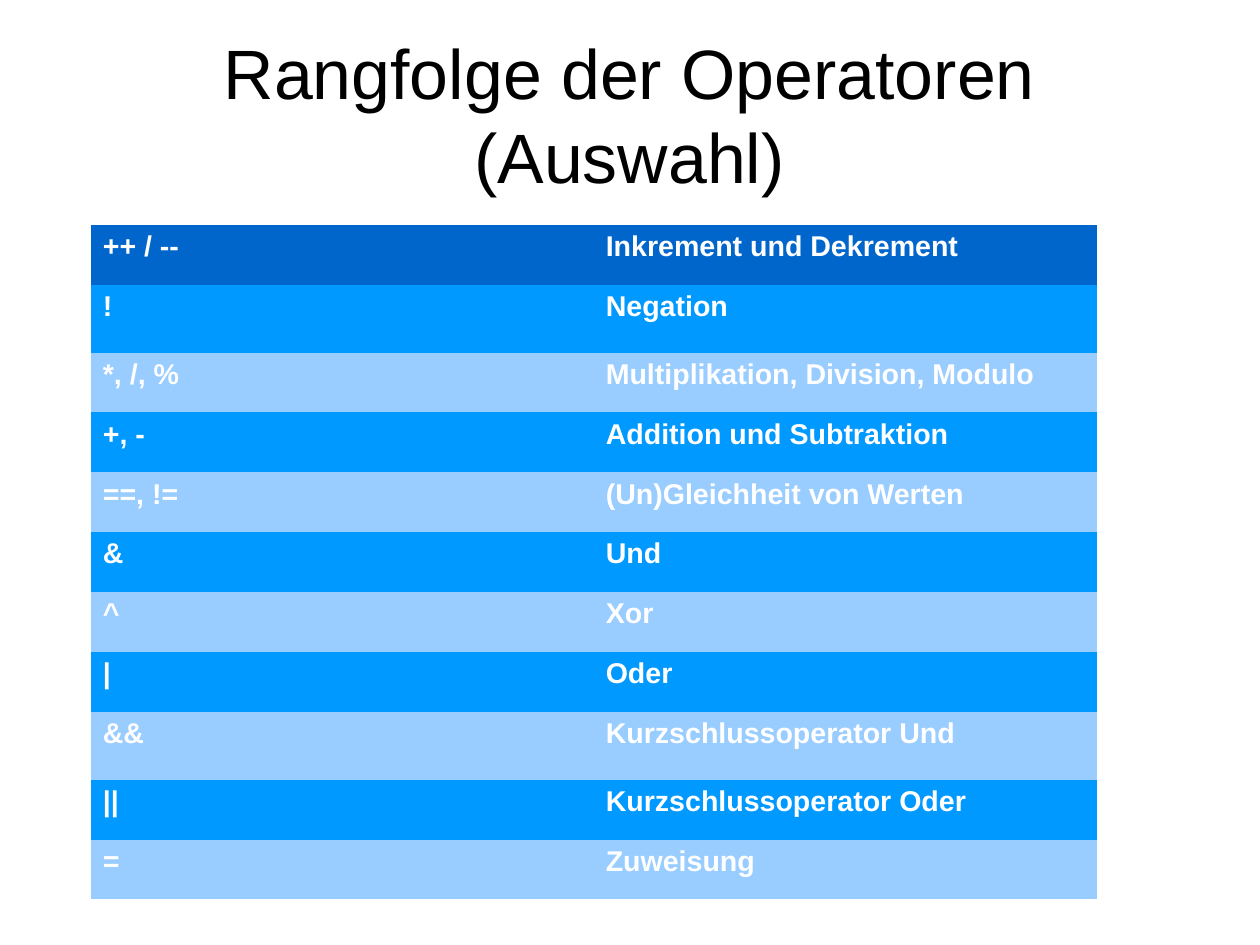
from pptx import Presentation
from pptx.dml.color import RGBColor
from pptx.enum.text import MSO_ANCHOR, PP_ALIGN
from pptx.util import Inches, Pt

TITLE = "Rangfolge der Operatoren (Auswahl)"
OPERATORS = [
    ("++ / --", "Inkrement und Dekrement"),
    ("!", "Negation"),
    ("*, /, %", "Multiplikation, Division, Modulo"),
    ("+, -", "Addition und Subtraktion"),
    ("==, !=", "(Un)Gleichheit von Werten"),
    ("&", "Und"),
    ("^", "Xor"),
    ("|", "Oder"),
    ("&&", "Kurzschlussoperator Und"),
    ("||", "Kurzschlussoperator Oder"),
    ("=", "Zuweisung"),
]
CM_PER_INCH = 2.54
SLIDE_WIDTH, SLIDE_HEIGHT = 28 / CM_PER_INCH, 21 / CM_PER_INCH
TALL_ROWS = {"!", "&&"}
TALL_HEIGHT = 0.59
TABLE_WIDTH, TABLE_HEIGHT = 8.8, 5.9
TOP_FILL = "0066CC"
BAND_FILLS = ("99CCFF", "0099FF")
NO_STYLE_NO_GRID = "{2D5ABB26-0587-4C30-8999-92F81FD0307C}"


def color(hex_code):
    return RGBColor.from_string(hex_code)


def style_font(font, size, hex_code, bold=False):
    font.name = "Arial"
    font.size = Pt(size)
    font.bold = bold
    font.color.rgb = color(hex_code)


def add_title(slide):
    frame = slide.shapes.add_textbox(
        Inches(0.55), Inches(0.31), Inches(9.92), Inches(1.37)).text_frame
    frame.word_wrap = True
    frame.vertical_anchor = MSO_ANCHOR.MIDDLE
    frame.margin_left = frame.margin_right = 0
    frame.margin_top = frame.margin_bottom = 0
    heading = frame.paragraphs[0]
    heading.text = TITLE
    heading.alignment = PP_ALIGN.CENTER
    style_font(heading.font, 44, "000000")


def add_operator_table(slide):
    table = slide.shapes.add_table(
        len(OPERATORS), 2, Inches(0.8), Inches(1.97),
        Inches(TABLE_WIDTH), Inches(TABLE_HEIGHT)).table
    table._tbl.tblPr.find("{*}tableStyleId").text = NO_STYLE_NO_GRID
    normal_height = ((TABLE_HEIGHT - len(TALL_ROWS) * TALL_HEIGHT)
                     / (len(OPERATORS) - len(TALL_ROWS)))

    for rank, entry in enumerate(OPERATORS):
        tall = entry[0] in TALL_ROWS
        table.rows[rank].height = Inches(TALL_HEIGHT if tall else normal_height)
        fill = BAND_FILLS[rank % 2] if rank else TOP_FILL
        for column, wording in enumerate(entry):
            cell = table.cell(rank, column)
            cell.fill.solid()
            cell.fill.fore_color.rgb = color(fill)
            cell.text = wording
            style_font(cell.text_frame.paragraphs[0].font, 18, "FFFFFF", bold=True)


def main():
    presentation = Presentation()
    presentation.slide_width = Inches(SLIDE_WIDTH)
    presentation.slide_height = Inches(SLIDE_HEIGHT)
    slide = presentation.slides.add_slide(presentation.slide_layouts[6])
    add_title(slide)
    add_operator_table(slide)
    presentation.save("out.pptx")


if __name__ == "__main__":
    main()
